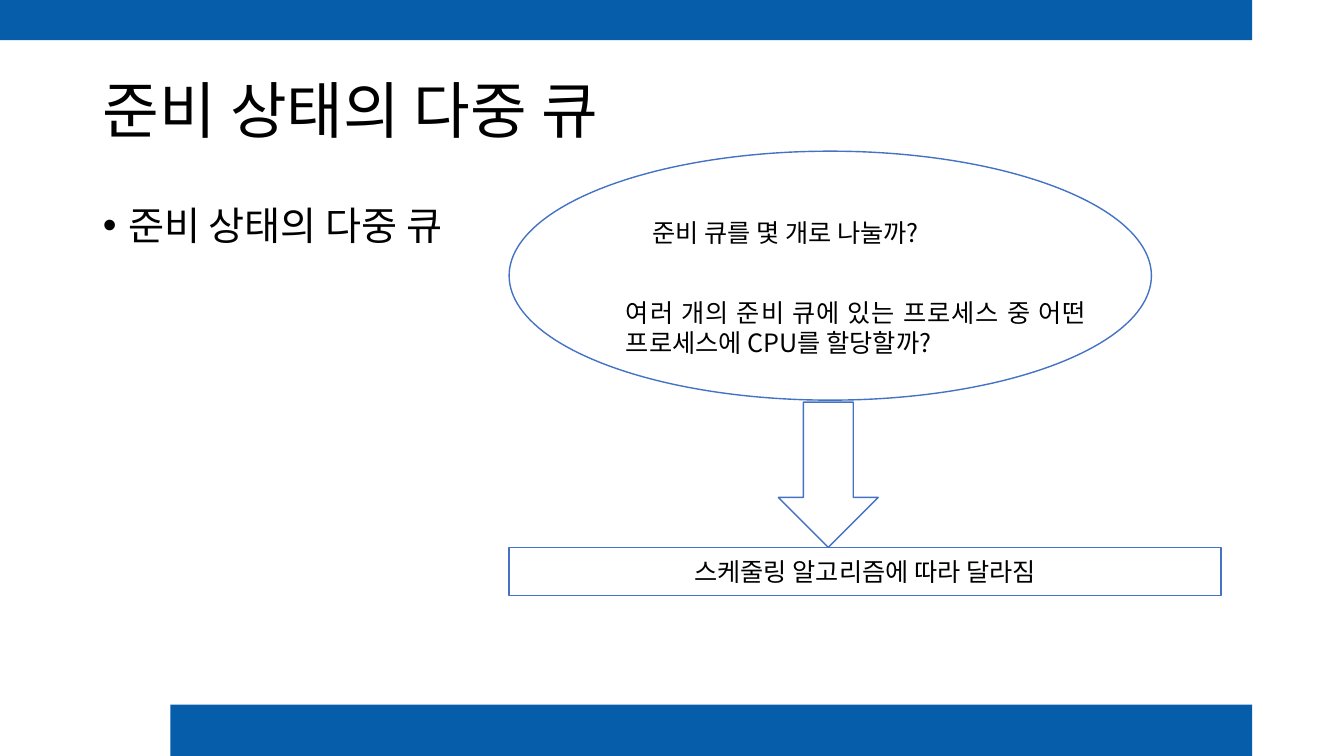
import dataclasses

import pptx
import pptx.dml.color
import pptx.enum.shapes
import pptx.enum.text
import pptx.oxml
import pptx.oxml.ns
import pptx.util

SHAPE = pptx.enum.shapes.MSO_SHAPE
ALIGN = pptx.enum.text.PP_ALIGN
ANCHOR = pptx.enum.text.MSO_ANCHOR
EMU_PER_PX = 9144


@dataclasses.dataclass(frozen=True)
class Theme:
    font: str = "Noto Sans CJK KR"
    bar: str = "065DAA"
    outline: str = "4472C4"
    paper: str = "FFFFFF"
    ink: str = "000000"
    title_size: int = 44
    body_size: int = 28
    note_size: int = 18
    line_width: int = 1


THEME = Theme()


def px(length):
    return pptx.util.Emu(length * EMU_PER_PX)


def color(value):
    return pptx.dml.color.RGBColor.from_string(value)


def apply_format(target, values):
    for name, value in values.items():
        setattr(target, name, value)


def place(shape, box):
    sides = ("left", "top", "width", "height")
    apply_format(shape, dict(zip(sides, map(px, box))))


def write_text(shape, text, size, para_format, anchor=ANCHOR.TOP):
    frame = shape.text_frame
    apply_format(frame, {
        "word_wrap": True,
        "auto_size": pptx.enum.text.MSO_AUTO_SIZE.NONE,
        "vertical_anchor": anchor,
    })
    para = frame.paragraphs[0]
    apply_format(para, para_format)
    span = para.add_run()
    span.text = text
    apply_format(span.font, {"name": THEME.font, "size": pptx.util.Pt(size)})
    span.font.color.rgb = color(THEME.ink)
    east_asian = pptx.oxml.parse_xml(
        f'<a:ea {pptx.oxml.ns.nsdecls("a")} typeface="{THEME.font}"/>'
    )
    span.font._element.append(east_asian)
    return para


def set_indent(para, margin, indent=0):
    properties = para._p.get_or_add_pPr()
    properties.set("marL", str(px(margin)))
    properties.set("indent", str(px(indent)))
    return properties


def add_bullet(para):
    properties = set_indent(para, 25, -25)
    for markup in ('<a:buFont {} typeface="Arial"/>', '<a:buChar {} char="•"/>'):
        properties.append(
            pptx.oxml.parse_xml(markup.format(pptx.oxml.ns.nsdecls("a")))
        )


def add_figure(page, kind, box, fill, outline=None):
    shape = page.shapes.add_shape(kind, *map(px, box))
    shape.shadow.inherit = False
    shape.fill.solid()
    shape.fill.fore_color.rgb = color(fill)
    if outline:
        shape.line.color.rgb = color(outline)
        shape.line.width = pptx.util.Pt(THEME.line_width)
    else:
        shape.line.fill.background()
    return shape


def add_outlined(page, kind, box):
    return add_figure(page, kind, box, THEME.paper, THEME.outline)


def add_note(page, box, text, align):
    shape = page.shapes.add_textbox(*map(px, box))
    return write_text(shape, text, THEME.note_size, {"alignment": align})


def fill_placeholders(page):
    title, body = page.placeholders
    place(title, (92, 40, 1150, 145))
    write_text(title, "준비 상태의 다중 큐", THEME.title_size,
               {"alignment": ALIGN.LEFT, "line_spacing": 0.9}, ANCHOR.MIDDLE)
    place(body, (92, 200, 1150, 476))
    item = write_text(body, "준비 상태의 다중 큐", THEME.body_size, {
        "alignment": ALIGN.JUSTIFY,
        "line_spacing": 0.9,
        "space_before": pptx.util.Pt(10),
    })
    add_bullet(item)


def add_questions(page):
    add_outlined(page, SHAPE.OVAL, (505, 150, 637, 247))
    add_note(page, (637, 211, 368, 71), "준비 큐를 몇 개로 나눌까?", ALIGN.LEFT)
    question = add_note(
        page, (561, 290, 526, 101),
        "여러 개의 준비 큐에 있는 프로세스 중 어떤 프로세스에 CPU를 할당할까?",
        ALIGN.JUSTIFY,
    )
    question.level = 1
    set_indent(question, 50)


def add_answer(page):
    answer = add_outlined(page, SHAPE.RECTANGLE, (505, 543, 706, 48))
    write_text(answer, "스케줄링 알고리즘에 따라 달라짐", THEME.note_size,
               {"alignment": ALIGN.CENTER}, ANCHOR.MIDDLE)
    add_outlined(page, SHAPE.DOWN_ARROW, (772, 399, 99, 144))


def main():
    deck = pptx.Presentation()
    apply_format(deck, {"slide_width": px(1333), "slide_height": px(750)})
    page = deck.slides.add_slide(deck.slide_layouts[1])
    for bar in ((169, 699, 1073, 51), (0, 0, 1242, 40)):
        add_figure(page, SHAPE.RECTANGLE, bar, THEME.bar)
    fill_placeholders(page)
    add_questions(page)
    add_answer(page)
    deck.save("out.pptx")


if __name__ == "__main__":
    main()
